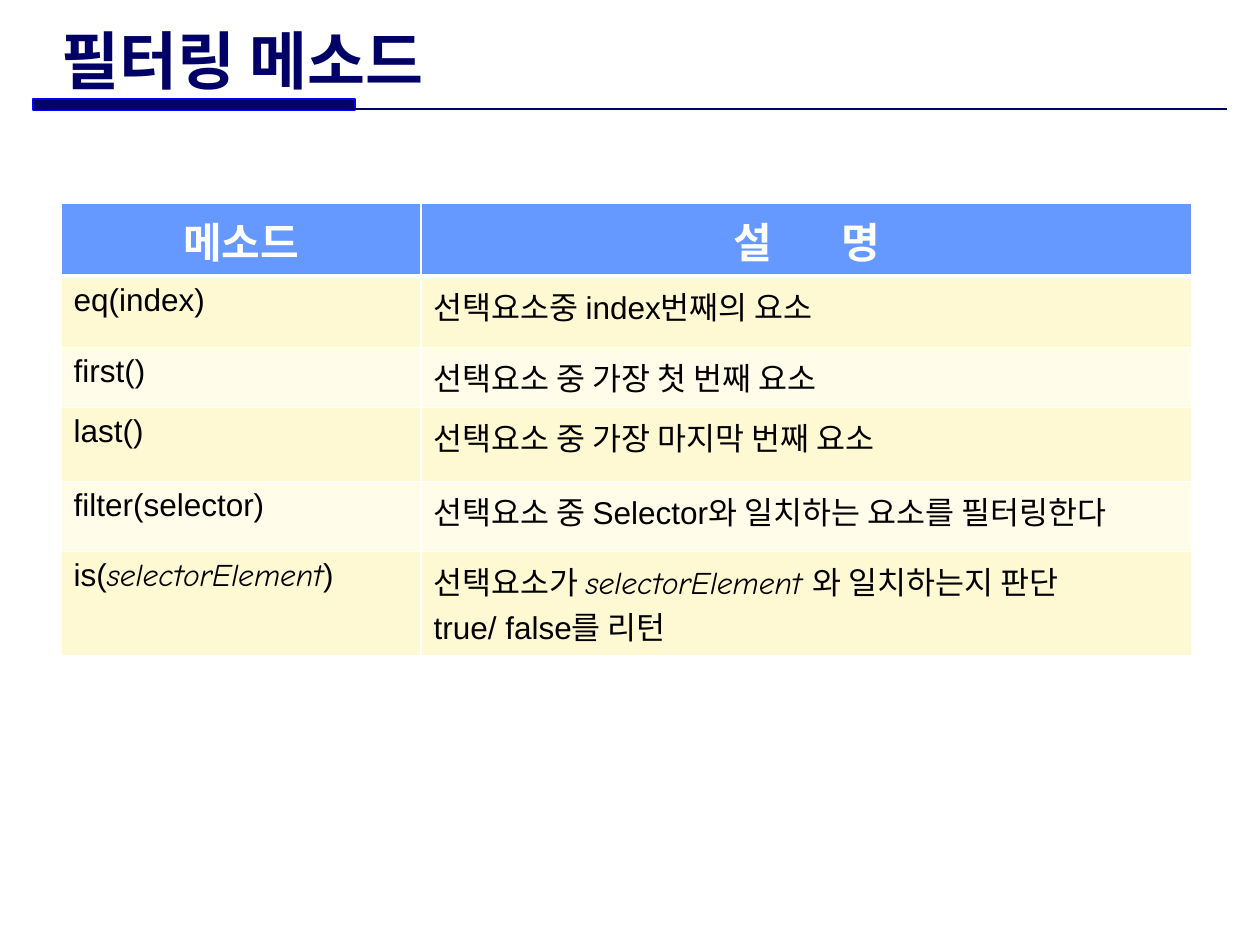
import pptx
import pptx.util
import pptx.dml.color
import pptx.enum.shapes
import pptx.enum.text
import pptx.oxml
import pptx.oxml.ns
from lxml import etree

RGB = pptx.dml.color.RGBColor
NAVY = RGB(0x00, 0x00, 0x66)
BLUE = RGB(0x00, 0x00, 0xFF)
HEADER = RGB(0x66, 0x99, 0xFF)
BANDS = [RGB(0xFF, 0xF9, 0xD3), RGB(0xFF, 0xFC, 0xEA)]
WHITE = RGB(0xFF, 0xFF, 0xFF)
BLACK = RGB(0x00, 0x00, 0x00)

BODY_FONT = "Arial"
ACCENT_FONT = "Comic Neue"
ALIGN = pptx.enum.text.PP_ALIGN
ANCHOR = pptx.enum.text.MSO_ANCHOR
PX_PER_INCH = 126

COLUMNS = [360, 771]
ROWS = [71, 71, 60, 74, 70, 103]
# Each cell is a list of paragraphs; each paragraph is a list of (text, format) runs
ITALIC = {"font": ACCENT_FONT, "italic": True}
HEADINGS = [
    [[("메소드", {})]],
    [[("설", {}), (" ", {"spacing": 34}), ("명", {})]],
]
METHODS = [
    [[[("eq(index)", {})]], [[("선택요소중 index번째의 요소", {})]]],
    [[[("first()", {})]], [[("선택요소 중 가장 첫 번째 요소", {})]]],
    [[[("last()", {})]], [[("선택요소 중 가장 마지막 번째 요소", {})]]],
    [[[("filter(selector)", {})]],
     [[("선택요소 중 Selector와 일치하는 요소를 필터링한다", {})]]],
    [[[("is(", {}), ("selectorElement", ITALIC), (")", {})]],
     [[("선택요소가 ", {}), ("selectorElement ", ITALIC), ("와 일치하는지 판단", {})],
      [("true/ false를 리턴", {})]]],
]


def px(n):
    return pptx.util.Emu(round(n * 914400 / PX_PER_INCH))


def add_run(p, text, font=BODY_FONT, size=18, color=BLACK, bold=False,
            italic=False, spacing=None):
    r = p.add_run()
    r.text = text
    f = r.font
    f.name, f.size, f.bold, f.italic = font, pptx.util.Pt(size), bold, italic
    f.color.rgb = color
    if spacing:
        r.font._element.set("spc", str(spacing * 100))


def set_borders(cell, widths, color=WHITE):
    """Draw the left, right, top and bottom borders, widths in points."""
    tc_pr = cell._tc.get_or_add_tcPr()
    for side, width in zip("LRTB", widths):
        ln = etree.SubElement(tc_pr, pptx.oxml.ns.qn(f"a:ln{side}"),
                              w=str(pptx.util.Pt(width)))
        fill = etree.SubElement(ln, pptx.oxml.ns.qn("a:solidFill"))
        etree.SubElement(fill, pptx.oxml.ns.qn("a:srgbClr"), val=str(color))


def fill_cell(cell, paragraphs, fill, borders, align=ALIGN.LEFT, **style):
    set_borders(cell, borders)
    cell.fill.solid()
    cell.fill.fore_color.rgb = fill
    cell.vertical_anchor = ANCHOR.TOP
    tf = cell.text_frame
    for i, runs in enumerate(paragraphs):
        p = tf.add_paragraph() if i else tf.paragraphs[0]
        p.alignment = align
        for text, fmt in runs:
            add_run(p, text, **{**style, **fmt})


def add_header(slide, x, y, w):
    # Thick bar at the left end of a thin rule
    sp = slide.shapes.add_shape(pptx.enum.shapes.MSO_SHAPE.RECTANGLE,
                                px(x), px(y + 73), px(322), px(11))
    sp.shadow.inherit = False
    sp.fill.solid()
    sp.fill.fore_color.rgb = NAVY
    sp.line.color.rgb = BLUE
    sp.line.width = pptx.util.Pt(0.75)

    rule = slide.shapes.add_connector(pptx.enum.shapes.MSO_CONNECTOR.STRAIGHT,
                                      px(x), px(y + 83), px(x + w), px(y + 83))
    rule.line.color.rgb = NAVY
    rule.line.width = pptx.util.Pt(1.5)
    etree.SubElement(rule._element.spPr, pptx.oxml.ns.qn("a:effectLst"))

    # Title
    title = slide.shapes.title
    title.left, title.top = px(x + 16), px(y)
    title.width, title.height = px(856), px(66)
    tf = title.text_frame
    tf.auto_size = pptx.enum.text.MSO_AUTO_SIZE.NONE
    tf.vertical_anchor = ANCHOR.MIDDLE
    p = tf.paragraphs[0]
    p.alignment = ALIGN.LEFT
    add_run(p, "필터링 메소드", font=ACCENT_FONT, size=36, color=NAVY, bold=True)


def add_method_table(slide, x, y):
    table = slide.shapes.add_table(len(ROWS), len(COLUMNS), px(x), px(y),
                                   px(sum(COLUMNS)), px(sum(ROWS))).table
    for column, width in zip(table.columns, COLUMNS):
        column.width = px(width)
    for row, height in zip(table.rows, ROWS):
        row.height = px(height)

    # Heading row, with a thicker border below it
    for c, paragraphs in enumerate(HEADINGS):
        fill_cell(table.cell(0, c), paragraphs, HEADER, (1, 1, 1, 3),
                  align=ALIGN.CENTER, size=24, color=WHITE, bold=True)

    # Banded method rows
    for r, method in enumerate(METHODS, start=1):
        borders = (1, 1, 3 if r == 1 else 1, 1)
        for c, paragraphs in enumerate(method):
            fill_cell(table.cell(r, c), paragraphs, BANDS[(r - 1) % 2], borders)


def main():
    prs = pptx.Presentation()
    prs.slide_width, prs.slide_height = px(1260), px(945)
    slide = prs.slides.add_slide(prs.slide_layouts.get_by_name("Title Only"))
    add_header(slide, 33, 26, 1194)
    add_method_table(slide, 61, 203)
    prs.save("out.pptx")


if __name__ == "__main__":
    main()
